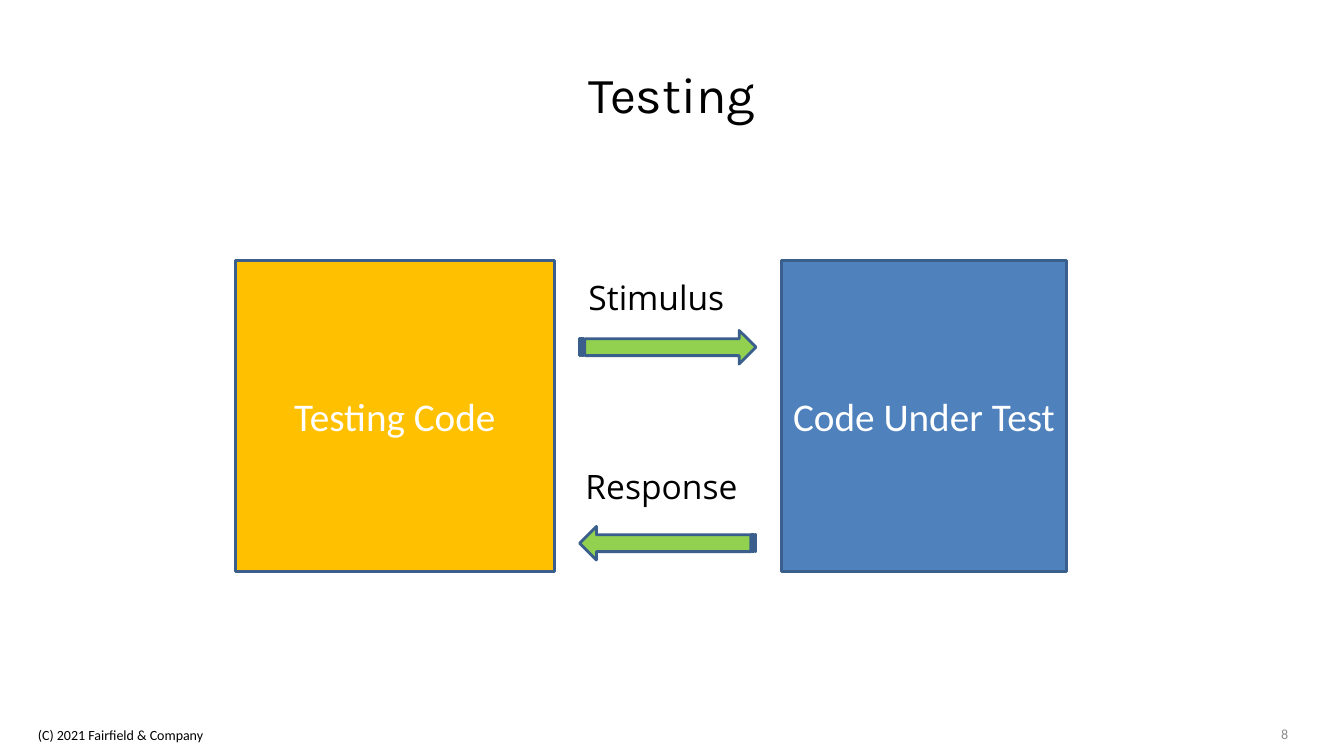
from dataclasses import dataclass

from pptx import Presentation
from pptx.dml.color import RGBColor
from pptx.enum.shapes import MSO_SHAPE
from pptx.enum.text import MSO_ANCHOR, MSO_AUTO_SIZE, PP_ALIGN
from pptx.util import Pt


@dataclass(frozen=True)
class Theme:
    black: str = "000000"
    white: str = "FFFFFF"
    gray: str = "8C8C8C"
    blue: str = "4F81BD"
    amber: str = "FFC000"
    green: str = "92D050"
    outline: str = "3A5F8C"
    title_size: int = 36
    block_size: int = 28
    label_size: int = 24
    footer_size: int = 10
    title_font: str = "Karla"
    label_font: str = "Open Sans"
    body_font: str = "Calibri"


theme = Theme()


def write(holder, text, font_name, size, color, align, anchor):
    frame = holder.text_frame
    frame.text = text
    frame.vertical_anchor = anchor
    frame.paragraphs[0].alignment = align
    font = frame.paragraphs[0].runs[0].font
    font.name = font_name
    font.size = Pt(size)
    font.color.rgb = RGBColor.from_string(color)


def draw(preset, left, top, width, height, fill):
    figure = slide.shapes.add_shape(preset, Pt(left), Pt(top), Pt(width), Pt(height))
    figure.shadow.inherit = False
    figure.fill.solid()
    figure.fill.fore_color.rgb = RGBColor.from_string(fill)
    figure.line.color.rgb = RGBColor.from_string(theme.outline)
    figure.line.width = Pt(2)
    return figure


presentation = Presentation()
presentation.slide_width = Pt(960)
presentation.slide_height = Pt(540)
slide = presentation.slides.add_slide(presentation.slide_layouts[5])

heading = slide.shapes.title
heading.left, heading.top, heading.width, heading.height = Pt(48), Pt(21.6), Pt(864), Pt(90)
write(heading, "Testing", theme.title_font, theme.title_size, theme.black,
      PP_ALIGN.CENTER, MSO_ANCHOR.MIDDLE)
heading.text_frame.auto_size = MSO_AUTO_SIZE.NONE

for block_name, left, width, fill in [
    ("Code Under Test", 558, 204, theme.blue),
    ("Testing Code", 168, 228, theme.amber),
]:
    block = draw(MSO_SHAPE.RECTANGLE, left, 186, width, 222, fill)
    write(block, block_name, theme.body_font, theme.block_size, theme.white,
          PP_ALIGN.CENTER, MSO_ANCHOR.MIDDLE)

for signal, arrow_top, rotation, label_left, label_top, label_width in [
    ("Stimulus", 236, 0, 413.3, 194.4, 126.7),
    ("Response", 376, 180, 411.1, 329, 131.8),
]:
    arrow = draw(MSO_SHAPE.STRIPED_RIGHT_ARROW, 414, arrow_top, 126, 24, theme.green)
    arrow.rotation = rotation
    signal_label = slide.shapes.add_textbox(
        Pt(label_left), Pt(label_top), Pt(label_width), Pt(36))
    write(signal_label, signal, theme.label_font, theme.label_size, theme.black,
          PP_ALIGN.LEFT, MSO_ANCHOR.TOP)
    signal_label.text_frame.word_wrap = False
    signal_label.text_frame.auto_size = MSO_AUTO_SIZE.SHAPE_TO_FIT_TEXT

for footer_text, left, top, width, color in [
    ("8", 908, 504.7, 38, theme.gray),
    ("(C) 2021 Fairfield & Company", 20, 505.4, 185, theme.black),
]:
    footer = slide.shapes.add_textbox(Pt(left), Pt(top), Pt(width), Pt(28.8))
    write(footer, footer_text, theme.body_font, theme.footer_size, color,
          PP_ALIGN.LEFT, MSO_ANCHOR.BOTTOM)
    footer.text_frame.word_wrap = True

presentation.save("out.pptx")
